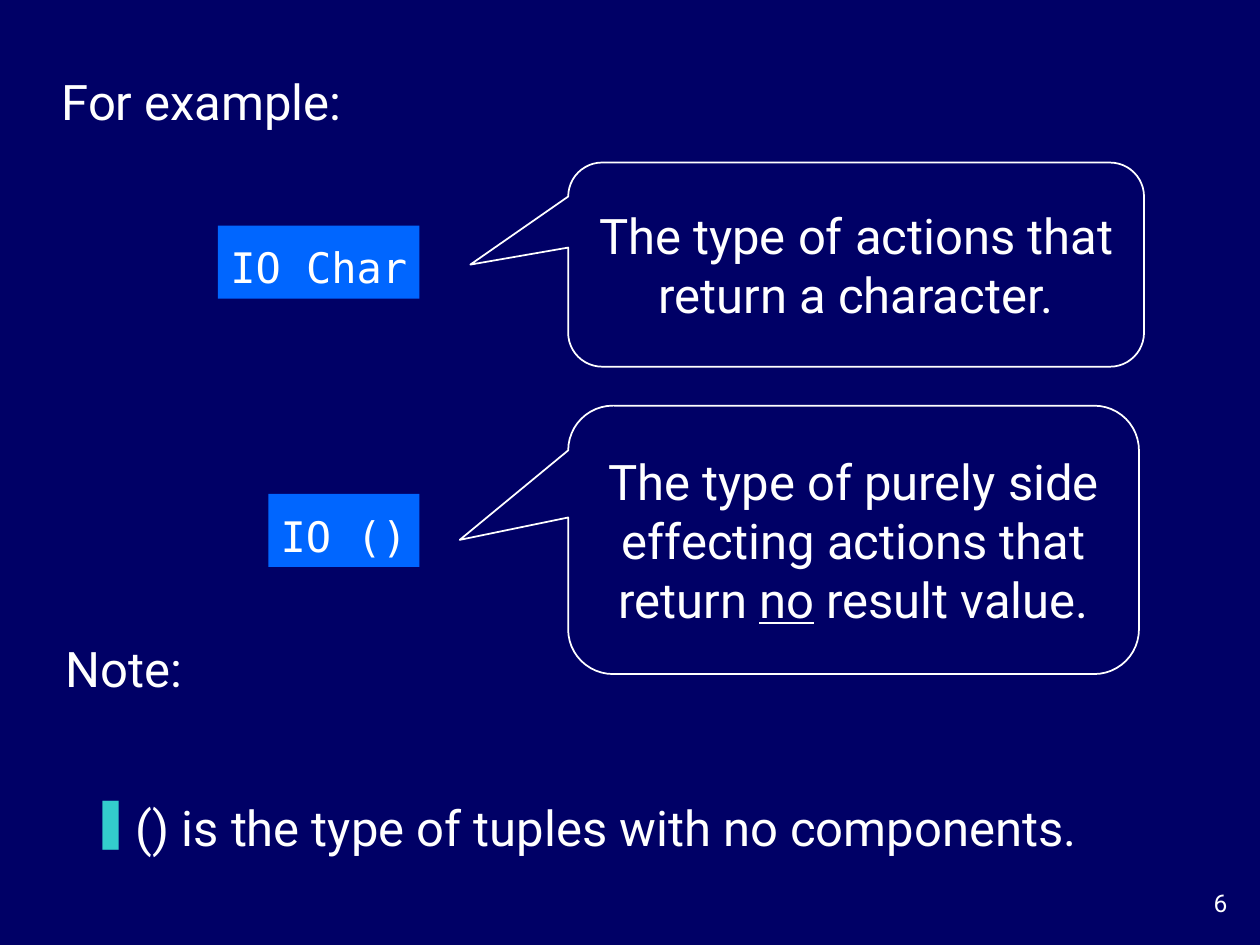
from dataclasses import dataclass

from lxml import etree
from pptx import Presentation
from pptx import util as u
from pptx.dml.color import RGBColor
from pptx.enum import shapes, text
from pptx.oxml.ns import qn

COLUMNS, ROWS = 100, 75


@dataclass(frozen=True)
class Theme:
    background: str = "000066"
    ink: str = "FFFFFF"
    code_fill: str = "0066FF"
    bullet: str = "33CCCC"
    body_font: str = "Roboto"
    code_font: str = "DejaVu Sans Mono"
    body_size: int = 28
    code_size: int = 24
    number_size: int = 14


@dataclass(frozen=True)
class Box:
    """A place on the slide, in grid columns and rows."""
    col: float
    row: float
    cols: float
    rows: float


@dataclass(frozen=True)
class Example:
    code: str
    code_box: Box
    meaning: str
    callout_box: Box
    pointer: tuple[float, float]
    underlined: str = ""


THEME = Theme()
EXAMPLES = [
    Example("IO Char", Box(17.3, 17.9, 16, 5.8),
            "The type of actions that return a character.",
            Box(45.1, 12.9, 45.7, 16.2), (-0.67, 0)),
    Example("IO ()", Box(21.3, 39.2, 12, 5.8),
            "The type of purely side effecting actions that return no result value.",
            Box(45.1, 32.2, 45.3, 21.3), (-0.69, 0), underlined="no"),
]


def rgb(colour: str) -> RGBColor:
    return RGBColor.from_string(colour)


def place(prs, box: Box) -> tuple[int, int, int, int]:
    """Turn a grid box into left, top, width and height."""
    dx, dy = prs.slide_width / COLUMNS, prs.slide_height / ROWS
    return (round(box.col * dx), round(box.row * dy),
            round(box.cols * dx), round(box.rows * dy))


def add_bullet(p, char: str, indent: float) -> None:
    pPr = p._p.get_or_add_pPr()
    pPr.set("marL", str(u.Inches(indent)))
    pPr.set("indent", str(-u.Inches(indent)))
    colour = etree.SubElement(pPr, qn("a:buClr"))
    etree.SubElement(colour, qn("a:srgbClr"), val=THEME.bullet)
    etree.SubElement(pPr, qn("a:buChar"), char=char)


def write(sp, words: str, *, size: int = THEME.body_size,
          font: str = THEME.body_font, align=text.PP_ALIGN.LEFT,
          anchor=text.MSO_ANCHOR.MIDDLE, wrap: bool = True,
          spacing: float = 1, underlined: str = "", bullet: str = "") -> None:
    tf = sp.text_frame
    tf.word_wrap, tf.vertical_anchor = wrap, anchor
    p = tf.paragraphs[0]
    p.alignment, p.line_spacing = align, spacing
    if bullet:
        add_bullet(p, bullet, 0.36)
    if underlined:
        before, _, after = words.partition(f" {underlined} ")
        parts = [f"{before} ", underlined, f" {after}"]
    else:
        parts = [words]
    for part in parts:
        r = p.add_run()
        r.text = part
        r.font.name, r.font.size = font, u.Pt(size)
        r.font.color.rgb = rgb(THEME.ink)
        if part == underlined:
            r.font.underline = True


def add_text(prs, s, box: Box, words: str, **style) -> None:
    write(s.shapes.add_textbox(*place(prs, box)), words, **style)


def add_example(prs, s, example: Example) -> None:
    """Draw a code label and the callout that explains it."""
    label = s.shapes.add_shape(shapes.MSO_SHAPE.RECTANGLE,
                               *place(prs, example.code_box))
    label.shadow.inherit = False
    label.fill.solid()
    label.fill.fore_color.rgb = rgb(THEME.code_fill)
    label.line.fill.background()
    write(label, example.code, size=THEME.code_size, font=THEME.code_font,
          wrap=False, spacing=1.2)

    callout = s.shapes.add_shape(shapes.MSO_SHAPE.ROUNDED_RECTANGULAR_CALLOUT,
                                 *place(prs, example.callout_box))
    callout.shadow.inherit = False
    callout.fill.background()
    callout.line.color.rgb = rgb(THEME.ink)
    callout.line.width = u.Pt(1)
    callout.adjustments[0], callout.adjustments[1] = example.pointer
    write(callout, example.meaning, align=text.PP_ALIGN.CENTER,
          underlined=example.underlined)


def main() -> None:
    prs = Presentation()
    prs.slide_width, prs.slide_height = u.Inches(10), u.Inches(7.5)
    s = prs.slides.add_slide(prs.slide_layouts[6])
    s.background.fill.solid()
    s.background.fill.fore_color.rgb = rgb(THEME.background)

    add_text(prs, s, Box(91.7, 70, 6.7, 3.3), "6", size=THEME.number_size,
             align=text.PP_ALIGN.RIGHT, anchor=text.MSO_ANCHOR.TOP)
    add_text(prs, s, Box(3.9, 5.2, 25.6, 5.7), "For example:", wrap=False)
    for example in EXAMPLES:
        add_example(prs, s, example)
    add_text(prs, s, Box(4.2, 50.2, 11.9, 5.7), "Note:", wrap=False)
    add_text(prs, s, Box(6.2, 62.8, 82.7, 6.9),
             "() is the type of tuples with no components.",
             anchor=text.MSO_ANCHOR.TOP, bullet="❚")
    prs.save("out.pptx")


if __name__ == "__main__":
    main()
